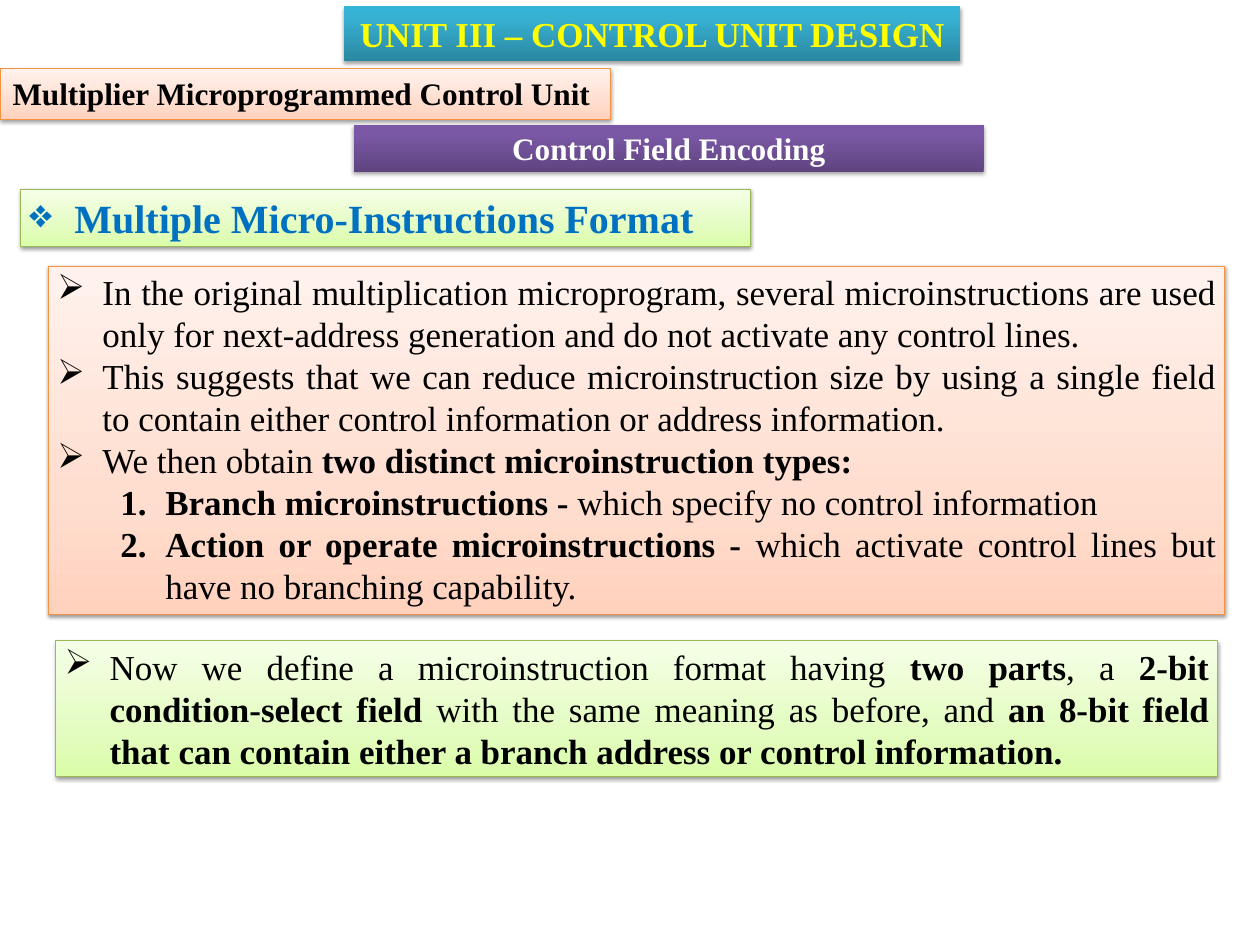
import dataclasses

import lxml.etree
import pptx
import pptx.dml.color
import pptx.enum.shapes
import pptx.enum.text
import pptx.oxml.ns
import pptx.util

Pt = pptx.util.Pt
Align = pptx.enum.text.PP_ALIGN
qualified = pptx.oxml.ns.qn


@dataclasses.dataclass(frozen=True)
class Panel:
    stops: tuple
    line: str = ""
    shadow_opacity: int = 38
    shadow_distance: float = 1.6


@dataclasses.dataclass(frozen=True)
class Theme:
    font: str = "Times New Roman"
    black: str = "000000"
    white: str = "FFFFFF"
    yellow: str = "FFFF00"
    blue: str = "0070C0"
    label_size: int = 25
    body_size: int = 28
    heading_size: int = 32
    indent: int = 36
    numbered_margin: float = 86.4
    orange_panel: Panel = Panel(((0, "FFD2BD"), (35, "FFDED0"), (100, "FFF2ED")), "F69240")
    green_panel: Panel = Panel(((0, "DAFDA7"), (35, "E4FCC2"), (100, "F5FFE7")), "98B955")
    teal_panel: Panel = Panel(((0, "2A88A2"), (80, "37B1D2"), (100, "34B4D6")), "", 35, 1.8)
    purple_panel: Panel = Panel(((0, "5F4480"), (80, "7B58A6"), (100, "7C57A8")), "", 35, 1.8)


class SlideBuilder:
    def __init__(self, slide, theme):
        self.slide = slide
        self.theme = theme

    def add_color(self, parent, color):
        return lxml.etree.SubElement(parent, qualified("a:srgbClr"), val=color)

    def add_panel(self, panel, left, top, width, height):
        shape = self.slide.shapes.add_shape(
            pptx.enum.shapes.MSO_SHAPE.RECTANGLE, Pt(left), Pt(top), Pt(width), Pt(height))
        self.fill_gradient(shape, panel.stops)
        if panel.line:
            shape.line.color.rgb = pptx.dml.color.RGBColor.from_string(panel.line)
            shape.line.width = Pt(0.75)
        else:
            shape.line.fill.background()
        self.cast_shadow(shape, panel)
        frame = shape.text_frame
        frame.word_wrap = True
        frame.auto_size = pptx.enum.text.MSO_AUTO_SIZE.SHAPE_TO_FIT_TEXT
        frame.vertical_anchor = pptx.enum.text.MSO_ANCHOR.TOP
        return frame

    def fill_gradient(self, shape, stops):
        shape.fill.gradient()
        shape.fill.gradient_angle = 90
        stop_list = next(shape._element.spPr.iter(qualified("a:gsLst")))
        for stop in list(stop_list):
            stop_list.remove(stop)
        for position, color in stops:
            stop = lxml.etree.SubElement(stop_list, qualified("a:gs"), pos=str(position * 1000))
            self.add_color(stop, color)

    def cast_shadow(self, shape, panel):
        shape.shadow.inherit = False
        effects = shape._element.spPr.find(qualified("a:effectLst"))
        shadow = lxml.etree.SubElement(
            effects, qualified("a:outerShdw"), blurRad=str(Pt(3.1)),
            dist=str(Pt(panel.shadow_distance)), dir="5400000", rotWithShape="0")
        color = self.add_color(shadow, self.theme.black)
        lxml.etree.SubElement(color, qualified("a:alpha"), val=str(panel.shadow_opacity * 1000))

    def format_run(self, run, size, color, bold):
        run.font.name = self.theme.font
        run.font.size = Pt(size)
        run.font.bold = bold
        run.font.color.rgb = pptx.dml.color.RGBColor.from_string(color)

    def add_label(self, text, panel, box, size, color, align, wrap=True):
        frame = self.add_panel(panel, *box)
        if not wrap:
            frame.word_wrap = False
            frame.margin_left = frame.margin_right = Pt(10)
            frame.margin_top = frame.margin_bottom = Pt(5)
        frame.text = text
        paragraph = frame.paragraphs[0]
        paragraph.alignment = align
        self.format_run(paragraph.runs[0], size, color, True)

    def add_list(self, items, panel, box, size, color):
        frame = self.add_panel(panel, *box)
        for index, (bullet, pieces) in enumerate(items):
            paragraph = frame.add_paragraph() if index else frame.paragraphs[0]
            self.set_bullet(paragraph, bullet)
            paragraph.alignment = Align.JUSTIFY
            for text, bold in pieces:
                run = paragraph.add_run()
                run.text = text
                self.format_run(run, size, color, bold)

    def set_bullet(self, paragraph, bullet):
        numbered = bullet == "1."
        paragraph.level = 1 if numbered else 0
        properties = paragraph._p.get_or_add_pPr()
        margin = self.theme.numbered_margin if numbered else self.theme.indent
        properties.set("marL", str(Pt(margin)))
        properties.set("indent", str(-Pt(self.theme.indent)))
        if numbered:
            lxml.etree.SubElement(properties, qualified("a:buAutoNum"), type="arabicPeriod")
        else:
            lxml.etree.SubElement(properties, qualified("a:buChar"), char=bullet)


def main():
    presentation = pptx.Presentation()
    presentation.slide_width = Pt(1008)
    presentation.slide_height = Pt(756)
    theme = Theme()
    builder = SlideBuilder(presentation.slides.add_slide(presentation.slide_layouts[6]), theme)

    builder.add_label("Multiplier Microprogrammed Control Unit", theme.orange_panel,
                      (0, 54.7, 488.2, 40.5), theme.label_size, theme.black, Align.LEFT, wrap=False)
    builder.add_label("UNIT III – CONTROL UNIT DESIGN", theme.teal_panel,
                      (275, 5, 493.2, 44), theme.body_size, theme.yellow, Align.CENTER, wrap=False)
    builder.add_label("Control Field Encoding", theme.purple_panel,
                      (283, 100, 504, 37.5), theme.label_size, theme.white, Align.CENTER)
    builder.add_list([("❖", [("Multiple Micro-Instructions Format", True)])], theme.green_panel,
                     (16.5, 151.4, 584, 46), theme.heading_size, theme.blue)

    builder.add_list([
        ("➢", [("In the original multiplication microprogram, several microinstructions are used "
                "only for next-address generation and do not activate any control lines.", False)]),
        ("➢", [("This suggests that we can reduce microinstruction size by using a single field "
                "to contain either control information or address information.", False)]),
        ("➢", [("We then obtain ", False), ("two distinct microinstruction types:", True)]),
        ("1.", [("Branch microinstructions - ", True),
                ("which specify no control information", False)]),
        ("1.", [("Action or operate microinstructions - ", True),
                ("which activate control lines but have no branching capability.", False)]),
    ], theme.orange_panel, (38.9, 213, 941, 278.6), theme.body_size, theme.black)

    builder.add_list([
        ("➢", [("Now we define a microinstruction format having ", False), ("two parts", True),
               (", a ", False), ("2-bit condition-select field ", True),
               ("with the same meaning as before, and ", False),
               ("an 8-bit field that can contain either a branch address or control information.",
                True)]),
    ], theme.green_panel, (44.6, 512.6, 929.5, 108.7), theme.body_size, theme.black)

    presentation.save("out.pptx")


if __name__ == "__main__":
    main()
